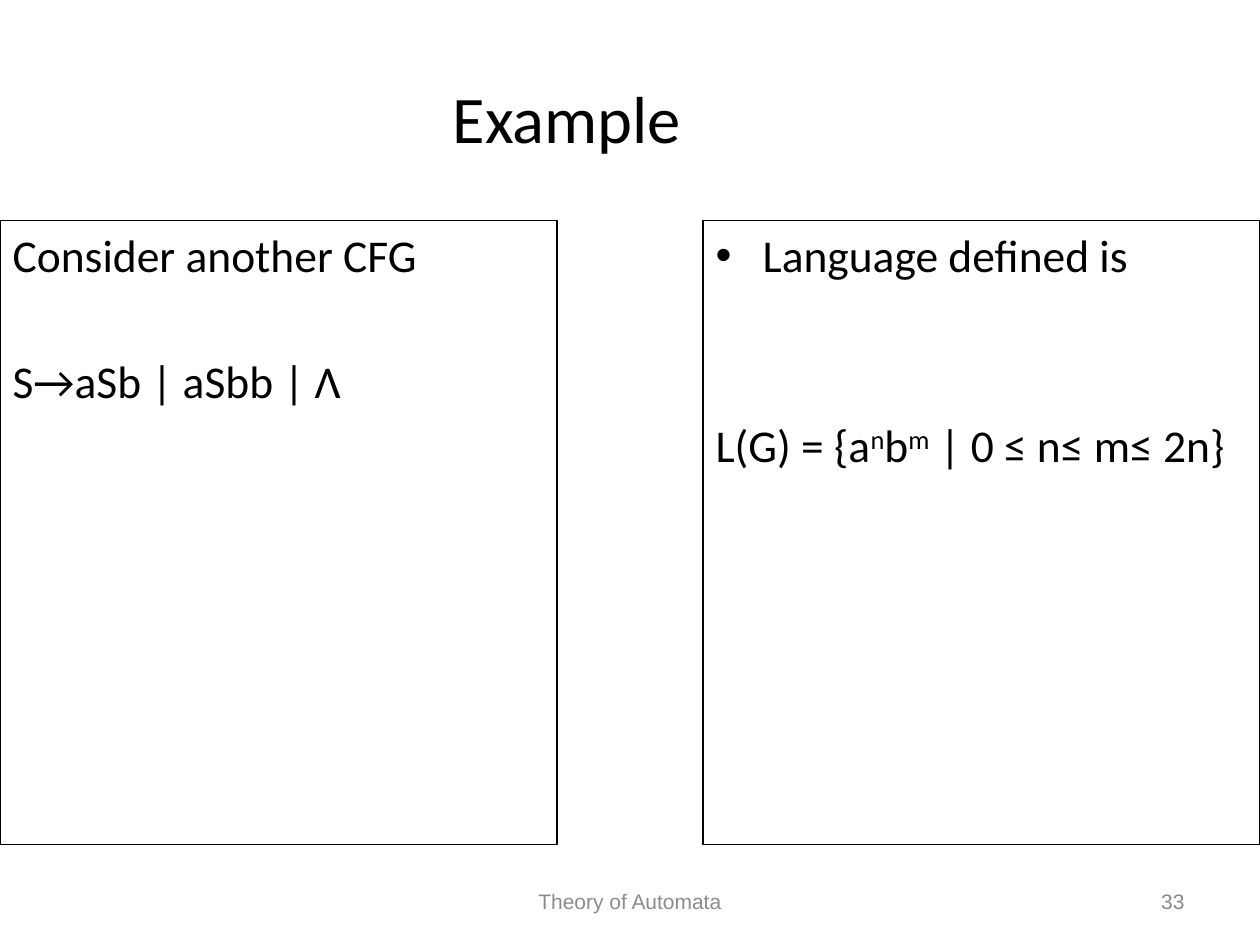
from lxml.etree import SubElement
from pptx import Presentation
from pptx.dml.color import RGBColor
from pptx.enum.text import MSO_ANCHOR, MSO_AUTO_SIZE, PP_ALIGN
from pptx.oxml.ns import qn
from pptx.util import Cm, Pt

SLIDE_WIDTH = 25.4
SLIDE_HEIGHT = 19.05
PANEL_WIDTH = 11.23


def color(value):
    return RGBColor.from_string(value)


class SlideBuilder:
    heading_font = "Calibri"
    footer_font = "Arial"
    ink = "000000"
    title_size = 38
    body_size = 26
    footer_size = 12

    def __init__(self, slide):
        self.slide = slide

    def place(self, shape, left, top, width, height):
        shape.left, shape.top = Cm(left), Cm(top)
        shape.width, shape.height = Cm(width), Cm(height)
        shape.text_frame.word_wrap = True
        shape.text_frame.auto_size = MSO_AUTO_SIZE.NONE

    def format_font(self, font, name, size, ink):
        font.name = name
        font.size = Pt(size)
        font.color.rgb = color(ink)

    def title(self, text, left, top, width, height):
        shape = self.slide.shapes.title
        self.place(shape, left, top, width, height)
        shape.text_frame.text = text
        shape.text_frame.vertical_anchor = MSO_ANCHOR.MIDDLE
        paragraph = shape.text_frame.paragraphs[0]
        paragraph.alignment = PP_ALIGN.CENTER
        self.format_font(paragraph.runs[0].font, self.heading_font, self.title_size, self.ink)

    def panel(self, placeholder_index, left, entries):
        shape = self.slide.placeholders[placeholder_index]
        self.place(shape, left, 4.45, PANEL_WIDTH, 12.57)
        shape.line.color.rgb = color(self.ink)
        shape.line.width = Pt(0.75)
        text_frame = shape.text_frame
        for position, (parts, bullet, space_before) in enumerate(entries):
            paragraph = text_frame.add_paragraph() if position else text_frame.paragraphs[0]
            self.body_paragraph(paragraph, parts, bullet, space_before)

    def body_paragraph(self, paragraph, parts, bullet, space_before):
        properties = paragraph._p.get_or_add_pPr()
        properties.set("marL", str(Cm(0.95)))
        properties.set("indent", str(-Cm(0.95)))
        if bullet:
            SubElement(properties, qn("a:buFont")).set("typeface", "Arial")
            SubElement(properties, qn("a:buChar")).set("char", "•")
        else:
            SubElement(properties, qn("a:buNone"))
        paragraph.space_before = Pt(space_before)
        for index, text in enumerate(parts):
            run = paragraph.add_run()
            run.text = text
            self.format_font(run.font, self.heading_font, self.body_size, self.ink)
            if index % 2:
                run._r.get_or_add_rPr().set("baseline", "30000")

    def footer(self, text, left, width, alignment, ink):
        shape = self.slide.shapes.add_textbox(0, 0, 0, 0)
        self.place(shape, left, 17.66, width, 1.01)
        shape.text_frame.text = text
        shape.text_frame.vertical_anchor = MSO_ANCHOR.MIDDLE
        paragraph = shape.text_frame.paragraphs[0]
        paragraph.alignment = alignment
        self.format_font(paragraph.runs[0].font, self.footer_font, self.footer_size, ink)


def main():
    presentation = Presentation()
    presentation.slide_width = Cm(SLIDE_WIDTH)
    presentation.slide_height = Cm(SLIDE_HEIGHT)
    builder = SlideBuilder(presentation.slides.add_slide(presentation.slide_layouts[3]))

    builder.title("Example", 0, 0.76, 22.86, 3.18)
    builder.panel(1, 0, [
        (["Consider another CFG"], False, 0),
        (["S→aSb | aSbb | Λ"], False, 41),
    ])
    builder.panel(2, SLIDE_WIDTH - PANEL_WIDTH, [
        (["Language defined is"], True, 0),
        (["L(G) = {a", "n", "b", "m", " | 0 ≤ n≤ m≤ 2n}"], False, 77.5),
    ])
    builder.footer("Theory of Automata", 8.68, 8.04, PP_ALIGN.CENTER, "8C8C8C")
    builder.footer("33", 18.21, 5.92, PP_ALIGN.RIGHT, "898989")

    presentation.save("out.pptx")


if __name__ == "__main__":
    main()
